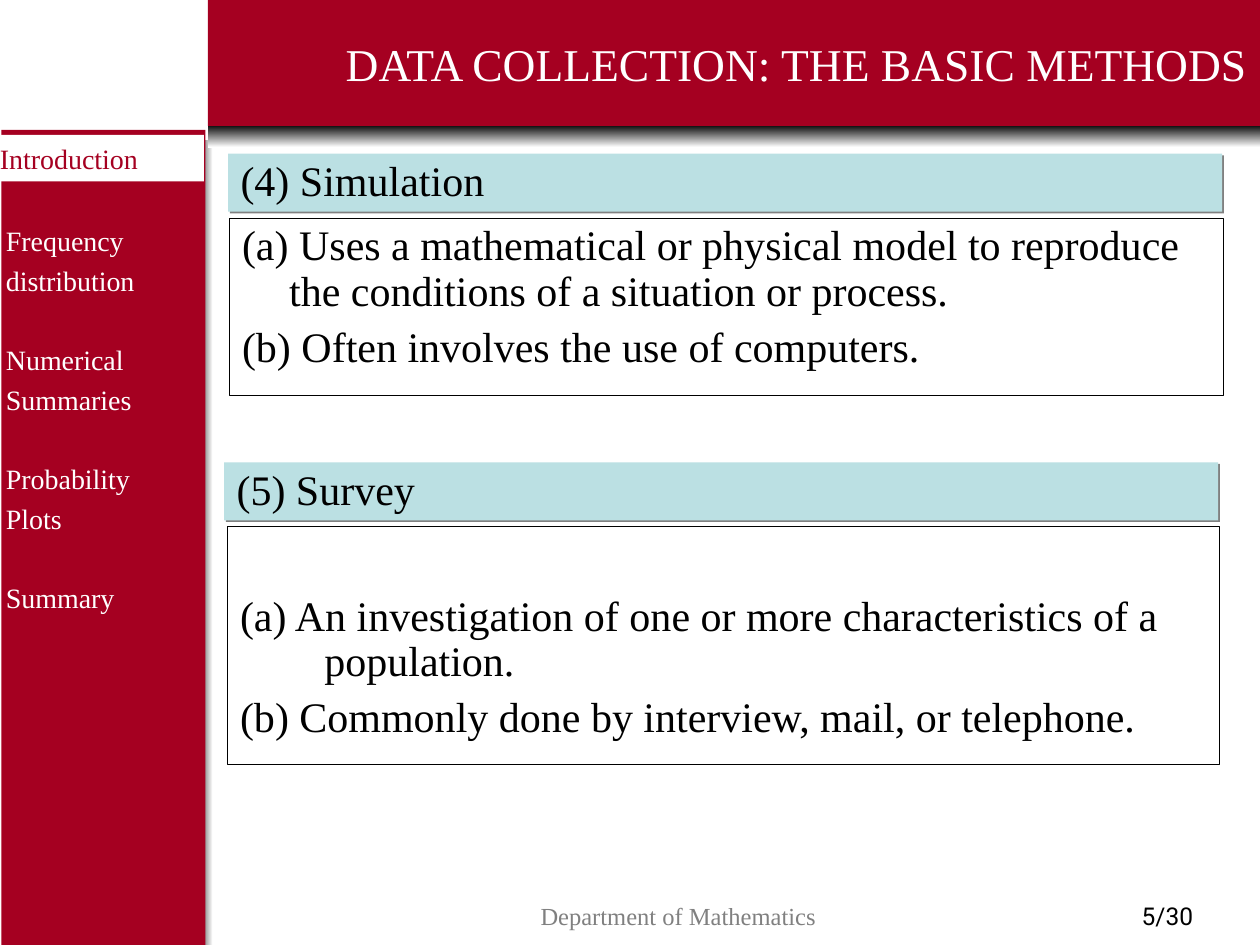
from dataclasses import dataclass

from lxml.etree import SubElement
from pptx import Presentation
from pptx.dml.color import RGBColor
from pptx.enum.shapes import MSO_SHAPE as Preset
from pptx.enum.text import MSO_ANCHOR as Anchor, PP_ALIGN as Align
from pptx.oxml.ns import qn
from pptx.util import Cm, Pt


@dataclass(frozen=True)
class Theme:
    """Colours, fonts and type sizes of the deck."""

    red: str = "A50021"
    teal: str = "BBE0E3"
    white: str = "FFFFFF"
    black: str = "000000"
    grey: str = "808080"
    serif: str = "Times New Roman"
    sans: str = "Roboto"
    title: int = 26
    body: int = 24
    menu: int = 16
    footer: int = 14


THEME = Theme()


def add_rect(page, box, fill=None, line=None):
    """Add a flat rectangle; box is left, top, width and height in cm."""
    rect = page.shapes.add_shape(Preset.RECTANGLE, *map(Cm, box))
    rect.shadow.inherit = False
    if fill:
        rect.fill.solid()
        rect.fill.fore_color.rgb = RGBColor.from_string(fill)
    else:
        rect.fill.background()
    if line:
        rect.line.color.rgb = RGBColor.from_string(line)
        rect.line.width = Pt(0.75)
    else:
        rect.line.fill.background()
    return rect


def add_fade(page, box, colours, angle):
    """Add a rectangle that fades between two colours."""
    fill = add_rect(page, box).fill
    fill.gradient()
    fill.gradient_angle = angle
    for stop, colour in zip(fill.gradient_stops, colours):
        stop.color.rgb = RGBColor.from_string(colour)


def add_drop_shadow(shape):
    """Give a shape a hard grey shadow to the lower right."""
    effects = shape._element.spPr.find(qn("a:effectLst"))
    shadow = SubElement(effects, qn("a:outerShdw"), dist="17780",
                        dir="2700000", algn="ctr", rotWithShape="0")
    SubElement(shadow, qn("a:srgbClr"), val=THEME.grey)


def write(shape, *lines, size, colour, font=THEME.serif, align=Align.LEFT,
          anchor=Anchor.TOP, spacing=1.0, gap=0, hang=0, side=0.25, top=0.13):
    """Write one paragraph per line into a shape."""
    frame = shape.text_frame
    frame.word_wrap = True
    frame.vertical_anchor = anchor
    frame.margin_left = frame.margin_right = Cm(side)
    frame.margin_top, frame.margin_bottom = Cm(top), Cm(0.13)
    for index, line in enumerate(lines):
        para = frame.add_paragraph() if index else frame.paragraphs[0]
        para.alignment = align
        para.line_spacing = spacing
        para.space_before = Pt(gap if index else 0)
        if hang:
            para._p.get_or_add_pPr().set("marL", str(Cm(hang)))
            para._p.get_or_add_pPr().set("indent", str(-Cm(hang)))
        span = para.add_run()
        span.text = line
        span.font.size = Pt(size)
        span.font.name = font
        span.font.color.rgb = RGBColor.from_string(colour)


def add_sidebar(page, box, current, topics):
    """Add the topic panel with the current topic on a white tab."""
    left, top, width, height = box
    add_fade(page, (left + width - 0.23, top + 0.2, 0.38, height - 0.2),
             (THEME.white, THEME.black), 180)
    add_rect(page, box, THEME.red)
    menu = page.shapes.add_textbox(Cm(left - 0.16), Cm(top + 1.62),
                                   Cm(width - 0.2), Cm(9.2))
    write(menu, *topics, size=THEME.menu, colour=THEME.white,
          spacing=1.2, gap=22)
    tab = add_rect(page, (left - 0.03, top + 0.1, width, 0.94), THEME.white)
    write(tab, current, size=THEME.menu, colour=THEME.red, side=0)


def add_header(page, box, title):
    """Add the title band with a fading shade under it."""
    left, top, width, height = box
    add_fade(page, (left, top + height - 0.03, width, 0.46),
             (THEME.black, THEME.white), 270)
    write(add_rect(page, box, THEME.red), title, size=THEME.title,
          colour=THEME.white, align=Align.RIGHT, anchor=Anchor.MIDDLE)


def add_section(page, box, heading, points, shift, hang, top=0.13):
    """Add a heading bar and the outlined box of points under it."""
    left, upper, width, height = box
    bar = add_rect(page, (left, upper, 20.04, 1.17), THEME.teal)
    add_drop_shadow(bar)
    style = dict(size=THEME.body, colour=THEME.black, spacing=0.9)
    write(bar, heading, **style)
    panel = add_rect(page, (left + shift, upper + 1.3, width, height - 1.3),
                     line=THEME.black)
    write(panel, *points, gap=6, hang=hang, top=top, **style)


def add_footer(page, box, department, number):
    """Add the department name and the page number."""
    left, top, width, height = box
    number_width = 3.73
    name_box = page.shapes.add_textbox(Cm(left), Cm(top), Cm(15.47), Cm(height))
    page_box = page.shapes.add_textbox(Cm(left + width - number_width), Cm(top),
                                       Cm(number_width), Cm(height))
    style = dict(size=THEME.footer, align=Align.CENTER, anchor=Anchor.MIDDLE)
    write(name_box, department, colour=THEME.grey, **style)
    write(page_box, number, colour=THEME.black, font=THEME.sans, **style)


def main():
    """Build and save the deck."""
    deck = Presentation()
    deck.slide_width, deck.slide_height = Cm(25.4), Cm(19.05)
    page = deck.slides.add_slide(deck.slide_layouts[6])
    add_sidebar(page, (0.03, 2.62, 4.11, 16.43), "Introduction",
                ("Frequency distribution", "Numerical Summaries",
                 "Probability Plots", "Summary"))
    add_header(page, (4.19, 0, 21.21, 2.54),
               "DATA COLLECTION: THE BASIC METHODS")
    add_section(page, (4.6, 3.1, 20.04, 4.88), "(4) Simulation",
                ("(a) Uses a mathematical or physical model to reproduce "
                 "the conditions of a situation or process.",
                 "(b) Often involves the use of computers."),
                shift=0.03, hang=0.95)
    add_section(page, (4.52, 9.32, 19.99, 6.1), "(5) Survey",
                ("(a) An investigation of one or more characteristics "
                 "of a population.",
                 "(b) Commonly done by interview, mail, or telephone."),
                shift=0.07, hang=1.7, top=1.37)
    add_footer(page, (5.94, 18, 19.46, 0.92), "Department of Mathematics", "5/30")
    deck.save("out.pptx")


if __name__ == "__main__":
    main()
